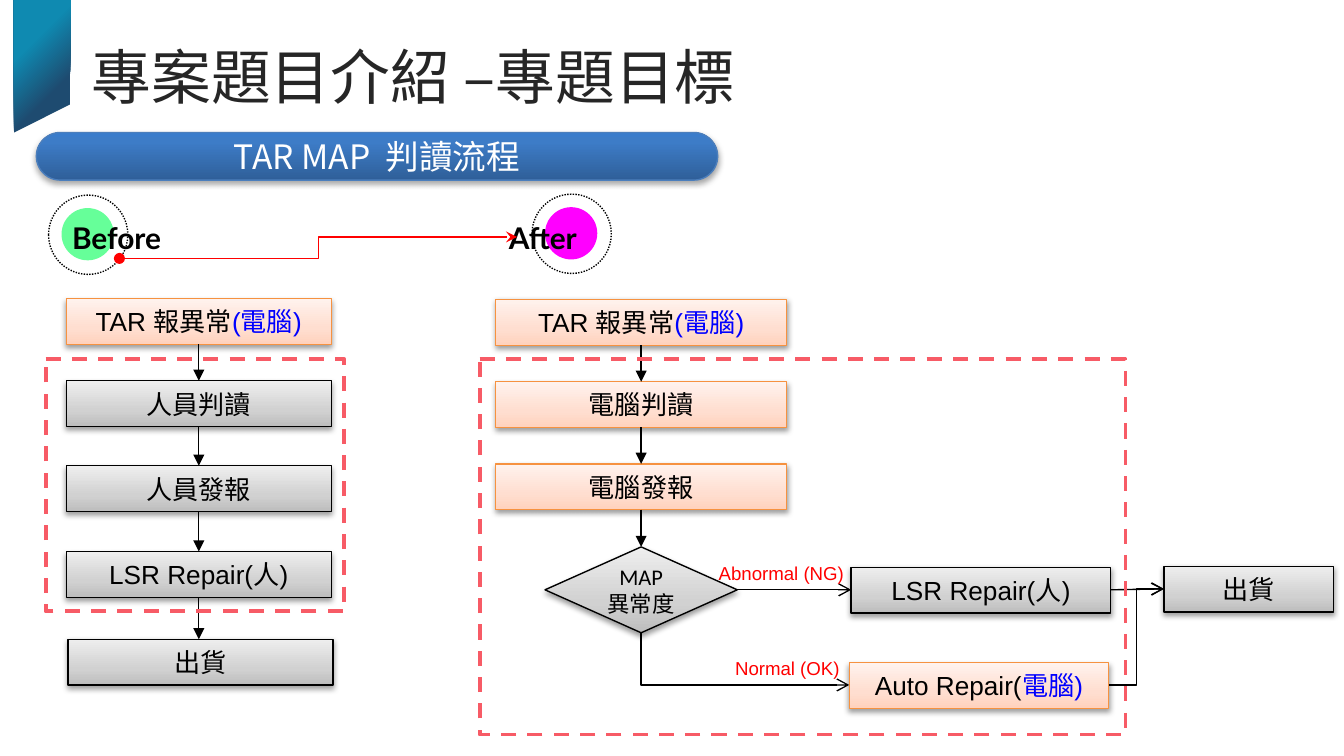
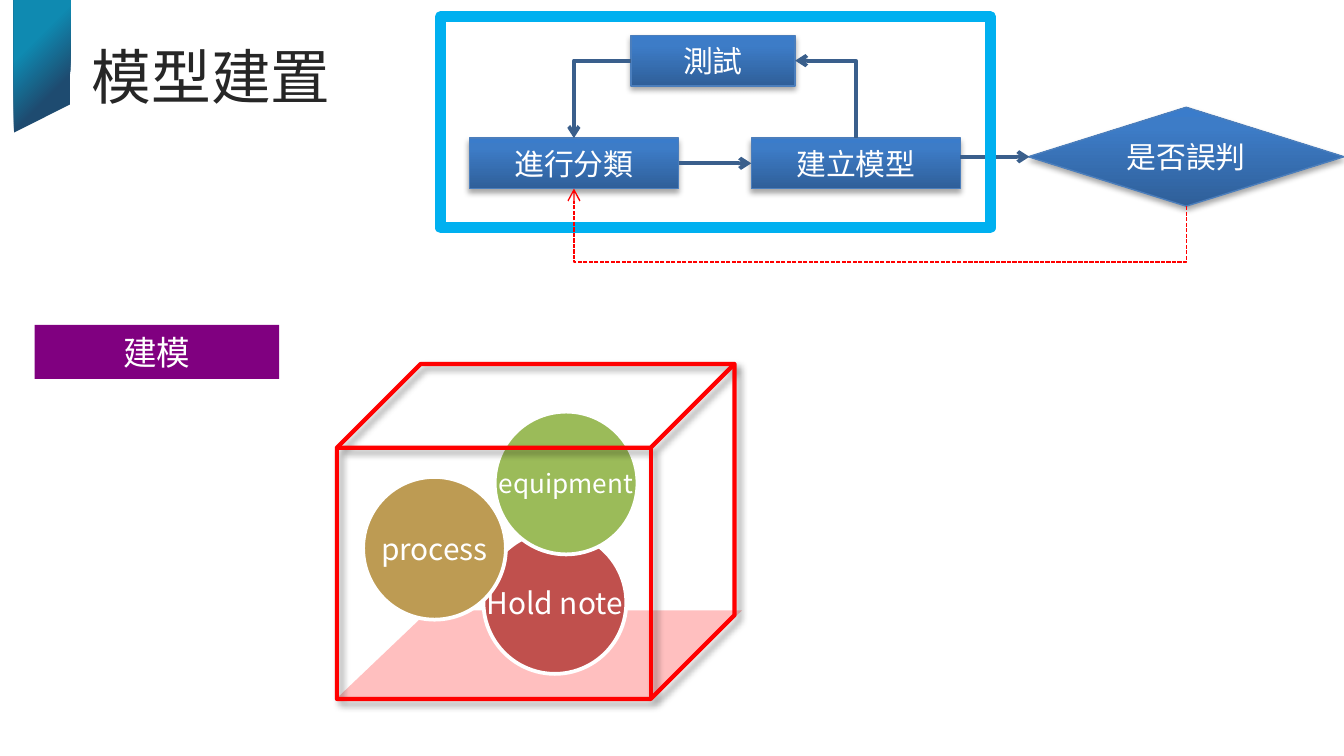
import pptx
import pptx.util
import pptx.dml.color
import pptx.enum.dml
import pptx.enum.shapes
import pptx.enum.text
import pptx.oxml
import pptx.oxml.ns

Pt = pptx.util.Pt
RGB = pptx.dml.color.RGBColor.from_string
qn = pptx.oxml.ns.qn
SHAPE = pptx.enum.shapes.MSO_SHAPE
CONNECTOR = pptx.enum.shapes.MSO_CONNECTOR
DASH = pptx.enum.dml.MSO_LINE
ALIGN = pptx.enum.text.PP_ALIGN
ANCHOR = pptx.enum.text.MSO_ANCHOR
NS = pptx.oxml.ns.nsdecls("a")

COLOURS = {
    "black": "000000", "white": "FFFFFF", "title": "262626", "red": "FF0000",
    "computer": "0000FF", "orange": "F69240", "frame": "F75B66", "steel": "4B7EBC",
    "arrow": "3A5F8C", "sky": "00B0F0", "purple": "800080", "mint": "66FF99",
    "magenta": "FF00FF", "floor": "FFBFBF", "brick": "C0504D", "sand": "BD9B53",
    "leaf": "9BBB59",
}
UPWARD = '<a:lin ang="16200000" scaled="0"/>'
CORNER = '<a:path path="circle"><a:fillToRect r="100000" b="100000"/></a:path>'
GRADIENTS = {
    "grey": ([(0, "BDBDBD"), (35, "D1D1D1"), (100, "EEEEEE")], UPWARD),
    "peach": ([(0, "FFD2BD"), (35, "FFDED0"), (100, "FFF2ED")], UPWARD),
    "blue": ([(0, "2F5F99"), (80, "3D7CC7"), (100, "3A7CCB")], UPWARD),
    "band": ([(32, "0F8AB1"), (70, "1E4B70")], CORNER),
}
# Shadows: opacity in percent, blur, distance, angle
SOFT = (38, 3.1, 1.6, 90)
LOOKS = {
    "manual": {"fill": "grey", "line": "black", "shadow": SOFT},
    "auto": {"fill": "peach", "line": "orange", "shadow": SOFT},
    "step": {"fill": "blue", "line": "steel", "shadow": (35, 3.1, 1.8, 90)},
    "scope": {"line": "frame", "width": 2, "dash": DASH.DASH},
    "ring": {"line": "black", "dash": DASH.ROUND_DOT},
    "loop": {"line": "sky", "width": 6},
    "cube": {"line": "red", "width": 2.25, "shadow": (40, 4, 3, 45)},
}


def dress(shape, look, paras=(), size=14, font="Arial", align=ALIGN.CENTER,
          anchor=ANCHOR.MIDDLE, bold=False):
    """Style a shape (look None for a text box) and write paragraphs of (text, colour) runs."""
    if look is not None:
        shape.shadow.inherit = False
        props = shape._element.spPr
        fill = look.get("fill")
        if fill in GRADIENTS:
            stops, direction = GRADIENTS[fill]
            marks = "".join(f'<a:gs pos="{place * 1000}"><a:srgbClr val="{tone}"/></a:gs>'
                            for place, tone in stops)
            shape.fill.solid()
            props.replace(props.find(qn("a:solidFill")), pptx.oxml.parse_xml(
                f'<a:gradFill {NS} rotWithShape="1"><a:gsLst>{marks}</a:gsLst>'
                f'{direction}</a:gradFill>'))
        elif fill:
            shape.fill.solid()
            shape.fill.fore_color.rgb = RGB(COLOURS[fill])
        else:
            shape.fill.background()
        if "line" in look:
            shape.line.color.rgb = RGB(COLOURS[look["line"]])
            shape.line.width = Pt(look.get("width", 0.75))
            if "dash" in look:
                shape.line.dash_style = look["dash"]
        else:
            shape.line.fill.background()
        if "shadow" in look:
            opacity, blur, distance, angle = look["shadow"]
            props.find(qn("a:effectLst")).append(pptx.oxml.parse_xml(
                f'<a:outerShdw {NS} blurRad="{Pt(blur)}" dist="{Pt(distance)}" '
                f'dir="{angle * 60000}" rotWithShape="0"><a:srgbClr val="000000">'
                f'<a:alpha val="{opacity * 1000}"/></a:srgbClr></a:outerShdw>'))
    frame = shape.text_frame
    frame.word_wrap = False
    frame.vertical_anchor = anchor
    for index, runs in enumerate(paras):
        para = frame.add_paragraph() if index else frame.paragraphs[0]
        para.alignment = align
        for text, colour in runs:
            span = para.add_run()
            span.text = text
            span.font.size = Pt(size)
            span.font.name = font
            span.font.bold = bold
            span.font.color.rgb = RGB(COLOURS[colour])


def link(page, start, end, colour="black", width=0.75, head=None, tail=None,
         bend=None, adjust=None, turn=0, dash=None):
    """Draw a connector; bend names the elbow preset, turn rotates it in degrees."""
    kind = CONNECTOR.ELBOW if bend else CONNECTOR.STRAIGHT
    line = page.shapes.add_connector(kind, *map(Pt, start + end))
    line.line.color.rgb = RGB(COLOURS[colour])
    line.line.width = Pt(width)
    if dash:
        line.line.dash_style = dash
    props = line._element.spPr
    for tag, tip in (("headEnd", head), ("tailEnd", tail)):
        if tip:
            props.find(qn("a:ln")).append(
                pptx.oxml.parse_xml(f'<a:{tag} {NS} type="{tip}"/>'))
    if bend:
        geometry = props.find(qn("a:prstGeom"))
        geometry.set("prst", bend)
        if adjust is not None:
            geometry.find(qn("a:avLst")).append(pptx.oxml.parse_xml(
                f'<a:gd {NS} name="adj1" fmla="val {round(adjust * 100000)}"/>'))
    if turn:
        props.find(qn("a:xfrm")).set("rot", str(turn * 60000))
    props.append(pptx.oxml.parse_xml(f'<a:effectLst {NS}/>'))


deck = pptx.Presentation()
deck.slide_width, deck.slide_height = Pt(720), Pt(405)

# Corner band and title on both slides
pages = []
for title in ("專案題目介紹 –專題目標", "模型建置"):
    page = deck.slides.add_slide(deck.slide_layouts[6])
    outline = page.shapes.build_freeform(Pt(7.5), Pt(0))
    outline.add_line_segments([(Pt(38), Pt(0)), (Pt(37.5), Pt(56)), (Pt(7.5), Pt(71))])
    dress(outline.convert_to_shape(), {"fill": "band"})
    dress(page.shapes.add_textbox(Pt(42), Pt(18), Pt(580), Pt(92)), None,
          [[(title, "title")]], 32, "Calibri", ALIGN.LEFT, ANCHOR.TOP)
    pages.append(page)
goal, model = pages

# Slide 1: flow before and after
heading = goal.shapes.add_shape(SHAPE.ROUNDED_RECTANGLE, Pt(19.5), Pt(71), Pt(365), Pt(25.5))
heading.adjustments[0] = 0.5
dress(heading, LOOKS["step"], [[("TAR MAP  判讀流程", "white")]], 18, "Noto Sans CJK SC")

alarm = [("TAR 報異常", "black"), ("(電腦)", "computer")]
repair = [("LSR Repair(人)", "black")]
ship = [("出貨", "black")]
BOX_HEIGHT = 24.5
before_tops = [160, 204, 249.5, 295.5, 342.5]
after_tops = [160.5 + 44 * row for row in range(3)]
flow_boxes = [
    (35.5, before_tops[0], 142, "auto", alarm),
    (35.5, before_tops[1], 142, "manual", [("人員判讀", "black")]),
    (35.5, before_tops[2], 142, "manual", [("人員發報", "black")]),
    (35.5, before_tops[3], 142, "manual", repair),
    (36.5, before_tops[4], 142, "manual", ship),
    (265.5, after_tops[0], 156, "auto", alarm),
    (265.5, after_tops[1], 156, "auto", [("電腦判讀", "black")]),
    (265.5, after_tops[2], 156, "auto", [("電腦發報", "black")]),
    (456, 304, 139, "manual", repair),
    (455, 355, 139, "auto", [("Auto Repair(", "black"), ("電腦)", "computer")]),
    (623.5, 303.5, 91, "manual", ship),
]
for left, top, width, look, runs in flow_boxes:
    box = goal.shapes.add_shape(SHAPE.RECTANGLE, Pt(left), Pt(top), Pt(width), Pt(BOX_HEIGHT))
    dress(box, LOOKS[look], [runs])
decision = goal.shapes.add_shape(SHAPE.FLOWCHART_DECISION, Pt(292), Pt(293), Pt(103), Pt(46))
dress(decision, LOOKS["manual"], [[("MAP", "black")], [("異常度", "black")]], 12, "Calibri")

for centre, tops in ((106.5, before_tops), (343.5, after_tops + [293])):
    for upper, lower in zip(tops, tops[1:]):
        link(goal, (centre, upper + BOX_HEIGHT), (centre, lower), tail="triangle")
link(goal, (395, 316), (456, 316), tail="arrow")
link(goal, (595, 316), (623.5, 315.5), tail="arrow")
link(goal, (594, 367), (623.5, 315.5), tail="arrow", bend="bentConnector3")
link(goal, (455, 367), (343.5, 339), head="arrow", bend="bentConnector2")

for text, left, top, width in (("Abnormal (NG)", 377.5, 297, 82), ("Normal (OK)", 384, 348, 75.5)):
    dress(goal.shapes.add_textbox(Pt(left), Pt(top), Pt(width), Pt(19.5)), None,
          [[(text, "red")]], 10)

for name, ring_left, ring_top, text_left, colour in (("Before", 26, 104.5, 31.5, "mint"),
                                                     ("After", 285, 104, 265.5, "magenta")):
    ring = goal.shapes.add_shape(SHAPE.OVAL, Pt(ring_left), Pt(ring_top), Pt(42.5), Pt(42.5))
    dress(ring, LOOKS["ring"])
    dot = goal.shapes.add_shape(SHAPE.OVAL, Pt(ring_left + 7), Pt(ring_top + 7), Pt(28), Pt(28))
    dress(dot, {"fill": colour})
    dress(goal.shapes.add_textbox(Pt(text_left), Pt(114), Pt(81.5), Pt(26.5)), None,
          [[(name, "black")]], 16, "Lato", ALIGN.LEFT, bold=True)
link(goal, (64, 138.5), (277, 127), "red", head="oval", tail="stealth", bend="bentConnector3")

for frame in ((24.5, 192.5, 160, 135), (257, 192.5, 346, 201)):
    dress(goal.shapes.add_shape(SHAPE.FLOWCHART_PROCESS, *map(Pt, frame)), LOOKS["scope"])

# Slide 2: model loop
label = model.shapes.add_shape(SHAPE.RECTANGLE, Pt(18.5), Pt(174), Pt(131), Pt(29))
dress(label, {"fill": "purple"}, [[("建模", "white")]], 18, "Noto Sans CJK SC")
for kind, text, *frame in (
    (SHAPE.RECTANGLE, "進行分類", 251.5, 74, 112, 27),
    (SHAPE.RECTANGLE, "建立模型", 402.5, 74, 112, 27),
    (SHAPE.DIAMOND, "是否誤判", 551, 57.5, 169, 53),
    (SHAPE.RECTANGLE, "測試", 338, 19, 88, 27),
):
    dress(model.shapes.add_shape(kind, *map(Pt, frame)), LOOKS["step"],
          [[(text, "white")]], 16, "Calibri")
link(model, (363.5, 87.5), (402.5, 87.5), "arrow", 2, tail="arrow")
link(model, (426, 32.5), (458.5, 74), "arrow", 2, head="arrow", bend="bentConnector2")
link(model, (338, 32.5), (307.5, 74), "arrow", 2, tail="arrow", bend="bentConnector2")
link(model, (514.5, 84), (551.5, 84), "arrow", 2, tail="arrow")
dress(model.shapes.add_shape(SHAPE.RECTANGLE, Pt(236), Pt(9), Pt(294.5), Pt(113)), LOOKS["loop"])

# Feedback path: a quarter-turned elbow that dips below both of its ends
start_x, start_y, end_x, end_y, dip_y = 635.5, 110.5, 307.5, 101, 140.5
middle_x, middle_y = (start_x + end_x) / 2, (start_y + end_y) / 2
rise, reach = start_y - end_y, start_x - end_x
link(model, (middle_x + rise / 2, middle_y - reach / 2),
     (middle_x - rise / 2, middle_y + reach / 2), "red", tail="arrow",
     bend="bentConnector3", adjust=(start_y - dip_y) / rise, turn=90, dash=DASH.SQUARE_DOT)

# Cube holding the three inputs
floor = model.shapes.add_shape(SHAPE.PARALLELOGRAM, Pt(179.5), Pt(327), Pt(218), Pt(48))
floor.adjustments[0] = 1.05
dress(floor, {"fill": "floor"})
for text, left, top, colour, size in (("Hold note", 259, 284.5, "brick", 16),
                                      ("process", 194.5, 255.5, "sand", 16),
                                      ("equipment", 265, 220.5, "leaf", 14)):
    ball = model.shapes.add_shape(SHAPE.OVAL, Pt(left), Pt(top), Pt(76.5), Pt(76.5))
    dress(ball, {"fill": colour, "line": "white", "width": 2}, [[(text, "white")]],
          size, "Noto Sans CJK SC")
dress(model.shapes.add_shape(SHAPE.CUBE, Pt(180.5), Pt(195), Pt(213), Pt(179.5)), LOOKS["cube"])

deck.save("out.pptx")
